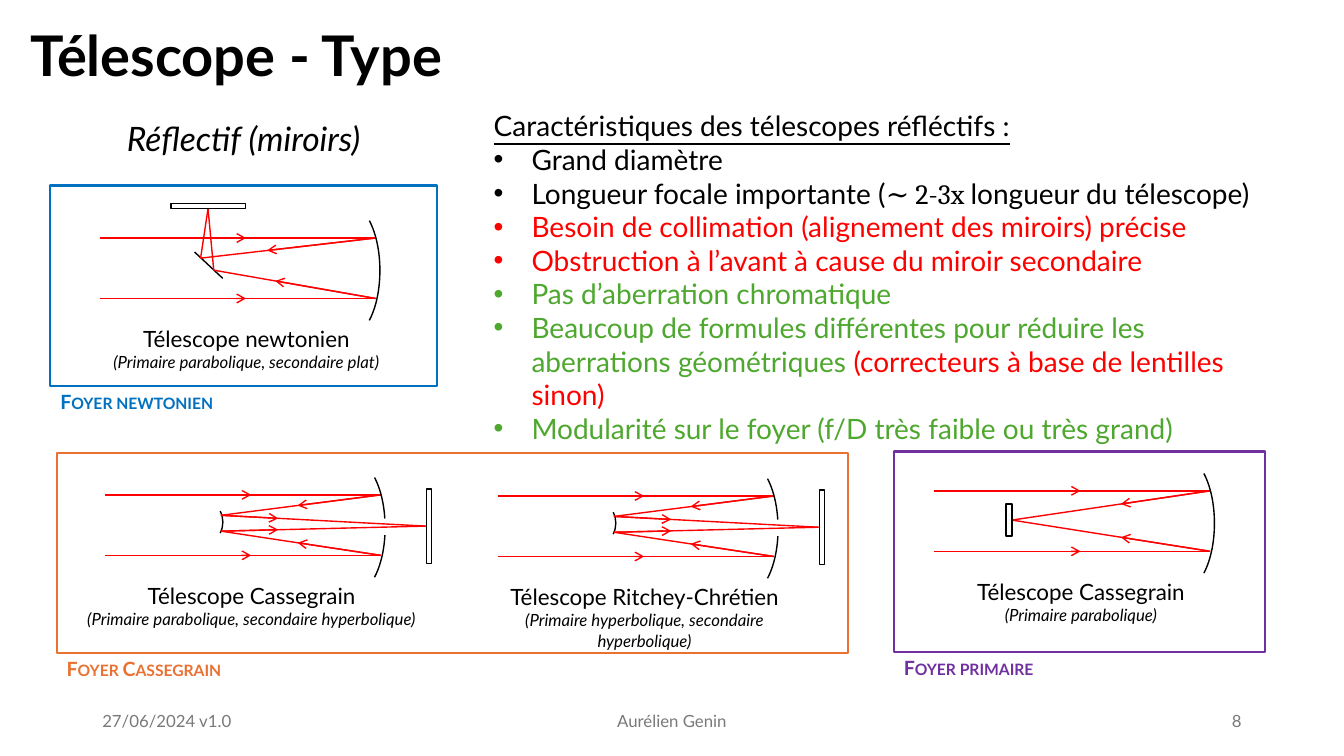
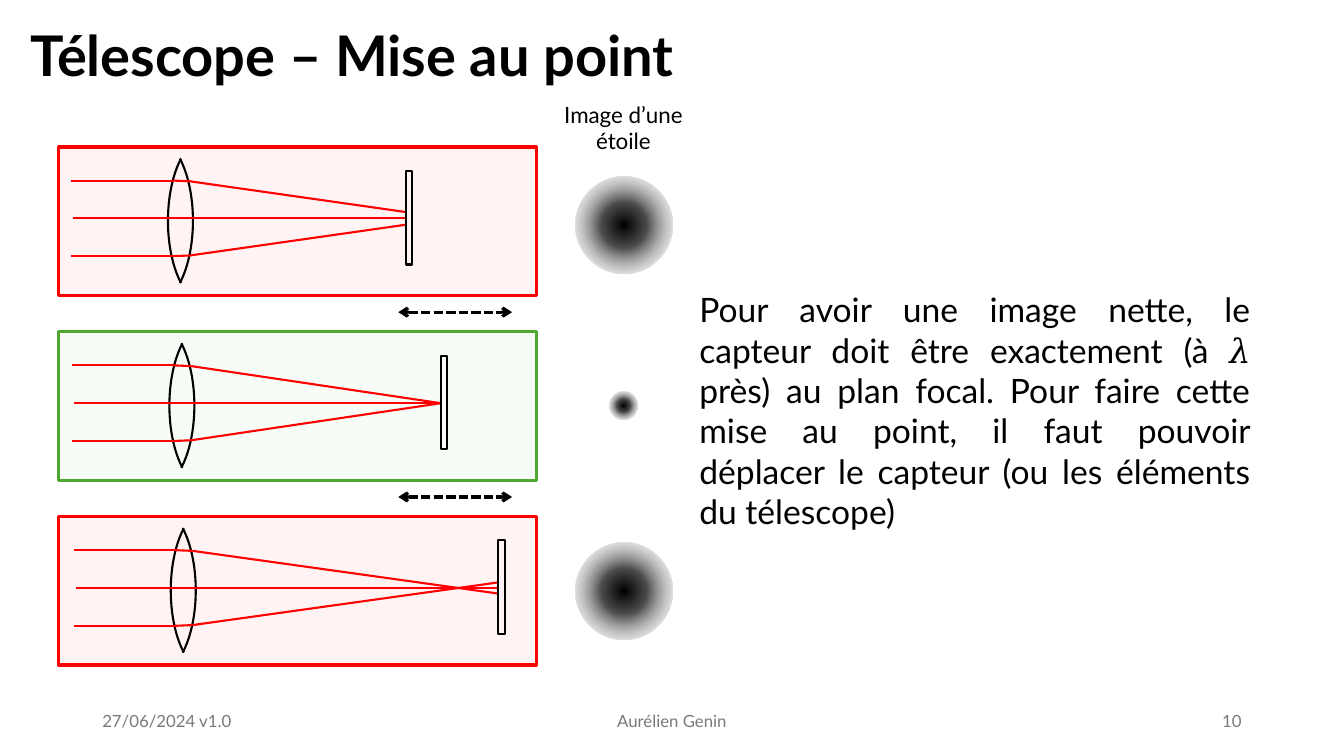
from lxml.etree import SubElement
from pptx import Presentation
from pptx.dml.color import RGBColor
from pptx.enum.dml import MSO_LINE
from pptx.enum.shapes import MSO_CONNECTOR, MSO_SHAPE
from pptx.enum.text import MSO_ANCHOR, PP_ALIGN
from pptx.oxml import parse_xml
from pptx.oxml.ns import nsdecls, qn
from pptx.util import Pt

BLACK, RED, GREEN, GREY = "000000", "FF0000", "4EA72E", "797979"
BLUE, ORANGE, PURPLE = "0070C0", "E97132", "7030A0"
FONT, MATH = "Lato", "Cambria"
LEFT, MID, RIGHT = PP_ALIGN.LEFT, PP_ALIGN.CENTER, PP_ALIGN.RIGHT

RIM = 67.5
STAR = f"""<a:gradFill {nsdecls('a')} rotWithShape="1"><a:gsLst>
<a:gs pos="0"><a:srgbClr val="000000"/></a:gs>
<a:gs pos="33000"><a:srgbClr val="4C4C4C"/></a:gs>
<a:gs pos="100000"><a:srgbClr val="FFFFFF"><a:alpha val="0"/></a:srgbClr></a:gs>
</a:gsLst><a:path path="circle">
<a:fillToRect l="50000" t="50000" r="50000" b="50000"/></a:path></a:gradFill>"""


def color(tone):
    """Turn a hex string into a colour."""
    return RGBColor.from_string(tone)


def style(font, size, tone=BLACK, bold=False, italic=False, under=False):
    """Set the look of a font."""
    font.name, font.size = FONT, Pt(size)
    font.bold, font.italic, font.underline = bold, italic, under
    font.color.rgb = color(tone)


def add_box(slide, box, anchor=MSO_ANCHOR.TOP):
    """Add a wrapping text box and return its frame."""
    frame = slide.shapes.add_textbox(*map(Pt, box)).text_frame
    frame.word_wrap = True
    frame.vertical_anchor = anchor
    return frame


def add_line(slide, box, text, size, align=LEFT, anchor=MSO_ANCHOR.TOP, **look):
    """Add a text box with one paragraph."""
    para = add_box(slide, box, anchor).paragraphs[0]
    para.alignment = align
    para.add_run().text = text
    style(para.font, size, **look)
    return para


def add_form(slide, kind, box, tone=BLACK, width=1):
    """Add an outlined shape without fill."""
    form = slide.shapes.add_shape(kind, *map(Pt, box))
    form.shadow.inherit = False
    form.fill.background()
    form.line.color.rgb = color(tone)
    form.line.width = Pt(width)
    return form


def add_arc(slide, box, start, end, width=1):
    """Add an arc between two angles in degrees."""
    arc = add_form(slide, MSO_SHAPE.ARC, box, width=width)
    for i, angle in enumerate((start, end)):
        arc.adjustments[i] = angle * 0.6


def join(slide, a, b, tone=RED, width=1, ends=(), dash=None):
    """Draw a line from a to b with arrows at the named ends."""
    line = slide.shapes.add_connector(MSO_CONNECTOR.STRAIGHT, *map(Pt, (*a, *b)))
    line.line.color.rgb = color(tone)
    line.line.width = Pt(width)
    if dash:
        line.line.dash_style = dash
    props = line._element.spPr
    for end in ends:
        SubElement(props.find(qn("a:ln")), qn(f"a:{end}")).set("type", "arrow")
    SubElement(props, qn("a:effectLst"))


def add_ray(slide, a, b, part):
    """Draw a ray with an arrow tip part of the way along."""
    tip = [p + part * (q - p) for p, q in zip(a, b)]
    join(slide, a, b)
    join(slide, a, tip, ends=["tailEnd"])


def add_page(deck, title, number):
    """Add a slide with its title and footer."""
    slide = deck.slides.add_slide(deck.slide_layouts[5])
    head = slide.shapes.title
    head.left, head.top, head.width, head.height = map(Pt, (14.4, 10.8, 896, 55.4))
    head.text_frame.text = title
    head.text_frame.vertical_anchor = MSO_ANCHOR.TOP
    para = head.text_frame.paragraphs[0]
    para.alignment = LEFT
    style(para.font, 40, bold=True)
    for left, width, text, align in (
        (66, 216, "27/06/2024 v1.0", LEFT),
        (318, 324, "Aurélien Genin", MID),
        (678, 216, number, RIGHT),
    ):
        add_line(slide, (left, 500.5, width, 28.8), text, 12, align,
                 MSO_ANCHOR.MIDDLE, tone=GREY)
    return slide


def add_scope(slide, x, y, name, note, kind):
    """Draw one telescope whose upper ray enters at x, y."""
    def at(dx, dy):
        return x + dx, y + dy

    hits = at(197, 0), at(197, 43.2)
    for dy, hit in zip((0, 43.2), hits):
        add_ray(slide, at(0, dy), hit, 0.53)
    main = (*at(155.5, -24.3), 44.6, 95)
    spans = [(360 - RIM, RIM)]
    if kind == "newton":
        ends, part = (at(72, 14.4), at(81.4, 23)), 0.62
        focus = at(77.3, -21)
        sensor = (*at(50.8, -24.8), 53.3, 3.6)
        join(slide, at(67.7, 10), at(87.8, 28.8), BLACK)
        for end in ends:
            join(slide, end, focus)
    elif kind == "casse":
        ends, part = (at(82.8, 14.6), at(82.8, 25.9)), 0.52
        focus = at(229, 22.3)
        sensor = (*at(229.7, -4.3), 3.6, 53.3)
        spans = [(360 - RIM, 344), (14, RIM)]
        add_arc(slide, (*at(39.6, 0), 44.6, 38.9), 339, 21)
        for end in ends:
            add_ray(slide, end, focus, 0.28)
    else:
        ends, part = [at(55.4, 20.9)] * 2, 0.45
        sensor = (*at(51.1, 9.4), 4.3, 23)
    for hit, end in zip(hits, ends):
        add_ray(slide, hit, end, part)
    for span in spans:
        add_arc(slide, main, *span)
    add_form(slide, MSO_SHAPE.RECTANGLE, sensor)
    frame = add_box(slide, (*at(-21.6, 58.8), 252.7, 41))
    for para, text, size in (
        (frame.paragraphs[0], name, 16),
        (frame.add_paragraph(), note, 12),
    ):
        para.alignment = MID
        para.add_run().text = text
        style(para.font, size, italic=size == 12)


def add_focus(slide, box, name, tone):
    """Frame a family of telescopes and name it below."""
    left, top, width, height = box
    add_form(slide, MSO_SHAPE.RECTANGLE, box, tone, 1.5)
    para = add_line(slide, (left, top + height - 0.7, 252.7, 24.5), name, 14,
                    tone=tone, bold=True)
    para.runs[0]._r.get_or_add_rPr().set("cap", "small")


def add_traits(slide, box):
    """List the traits of reflecting telescopes."""
    frame = add_box(slide, box)
    head = frame.paragraphs[0]
    head.add_run().text = "Caractéristiques des télescopes réfléctifs :"
    style(head.font, 20, under=True)
    for tone, *parts in (
        (BLACK, "Grand diamètre"),
        (BLACK, "Longueur focale importante (", "∼ 2-3x ", "longueur du télescope)"),
        (RED, "Besoin de collimation (alignement des miroirs) précise"),
        (RED, "Obstruction à l’avant à cause du miroir secondaire"),
        (GREEN, "Pas d’aberration chromatique"),
        (GREEN, "Beaucoup de formules différentes pour réduire les aberrations géométriques ",
         "(correcteurs à base de lentilles sinon)"),
        (GREEN, "Modularité sur le foyer (f/D très faible ou très grand)"),
    ):
        para = frame.add_paragraph()
        props = para._p.get_or_add_pPr()
        props.set("marL", str(Pt(27)))
        props.set("indent", str(Pt(-27)))
        SubElement(props, qn("a:buFont")).set("typeface", "Arial")
        SubElement(props, qn("a:buChar")).set("char", "•")
        style(para.font, 20, tone)
        for part in parts:
            run = para.add_run()
            run.text = part
            if part.startswith("∼"):
                run.font.name = MATH
            elif part.startswith("(corr"):
                run.font.color.rgb = color(RED)


def add_bench(slide, box, shift, plane, miss, tone, tint):
    """Draw a lens and sensor inside a tinted frame."""
    left, top, width, height = box
    frame = add_form(slide, MSO_SHAPE.RECTANGLE, box, tone, 2.25)
    frame.fill.solid()
    frame.fill.fore_color.rgb = color(tint)
    fill = frame._element.spPr.find(f"{qn('a:solidFill')}/{qn('a:srgbClr')}")
    SubElement(fill, qn("a:alpha")).set("val", "19000")

    def at(dx, dy):
        return left + shift + dx, top + dy

    for dx, start, end in ((40.5, -RIM, RIM), (78, 180 - RIM, 180 + RIM)):
        add_arc(slide, (*at(dx, -6.7), 55.4, 118.8), start % 360, end, 1.5)
    sensor = left + plane
    for side in (-1, 1):
        dots = (at(8.7, 51 + side * 27), at(81.4, 51 + side * 27),
                at(93.6, 51 + side * 26.5), (sensor, top + 51 + side * miss))
        for a, b in zip(dots, dots[1:]):
            join(slide, a, b, width=1.5)
    join(slide, at(10, 51), (sensor, top + 51), width=1.5)
    add_form(slide, MSO_SHAPE.RECTANGLE, (sensor, top + 17, 4.5, 67), width=1.5)


def add_star(slide, x, y, size):
    """Draw a blurred star centred on x, y."""
    star = add_form(slide, MSO_SHAPE.OVAL, (x - size / 2, y - size / 2, size, size))
    star.line.fill.background()
    props = star._element.spPr
    props.replace(props.find(qn("a:noFill")), parse_xml(STAR))


def add_types(deck):
    """Build the slide on telescope types."""
    slide = add_page(deck, "Télescope - Type", "8")
    add_line(slide, (66, 80.6, 216, 36), "Réflectif (miroirs)", 24, MID, italic=True)
    add_traits(slide, (345.6, 74.2, 576, 225))
    for scope in (
        (71.3, 170, "Télescope newtonien", "(Primaire parabolique, secondaire plat)", "newton"),
        (75, 353.5, "Télescope Cassegrain",
         "(Primaire parabolique, secondaire hyperbolique)", "casse"),
        (355.7, 354.3, "Télescope Ritchey-Chrétien",
         "(Primaire hyperbolique, secondaire hyperbolique)", "casse"),
        (667.4, 350.6, "Télescope Cassegrain", "(Primaire parabolique)", "prime"),
    ):
        add_scope(slide, *scope)
    add_focus(slide, (36, 132.5, 276, 143), "Foyer newtonien", BLUE)
    add_focus(slide, (40.5, 323.5, 565, 143), "Foyer Cassegrain", ORANGE)
    add_focus(slide, (638.5, 322.5, 265, 143), "Foyer primaire", PURPLE)


def add_tuning(deck):
    """Build the slide on focusing."""
    slide = add_page(deck, "Télescope – Mise au point", "10")
    for i, (plane, miss, tone, tint, star, size) in enumerate((
        (248, 4.5, RED, "FFC1C1", 161, 69),
        (273, 0, GREEN, "D9F2D0", 290, 20),
        (314, -4, RED, "FFC1C1", 422, 69),
    )):
        top = 105 + 132 * i
        add_bench(slide, (42, top, 341, 106), i, plane, miss, tone, tint)
        add_star(slide, 445.7, star, size)
        if i:
            join(slide, (284.5, top - 14), (365.8, top - 14), BLACK, 2.25,
                 ("headEnd", "tailEnd"), MSO_LINE.SQUARE_DOT)
    add_line(slide, (389.5, 68.4, 111.6, 46), "Image d’une étoile", 16, MID)
    para = add_line(slide, (492.5, 203, 407.5, 152.6),
                    "Pour avoir une image nette, le capteur doit être exactement (à ",
                    24, PP_ALIGN.JUSTIFY)
    sign = para.add_run()
    sign.text = "𝜆"
    sign.font.name = MATH
    para.add_run().text = (" près) au plan focal. Pour faire cette mise au point, il faut "
                           "pouvoir déplacer le capteur (ou les éléments du télescope)")


def main():
    """Build and save the deck."""
    deck = Presentation()
    deck.slide_width, deck.slide_height = Pt(960), Pt(540)
    add_types(deck)
    add_tuning(deck)
    deck.save("out.pptx")


if __name__ == "__main__":
    main()
